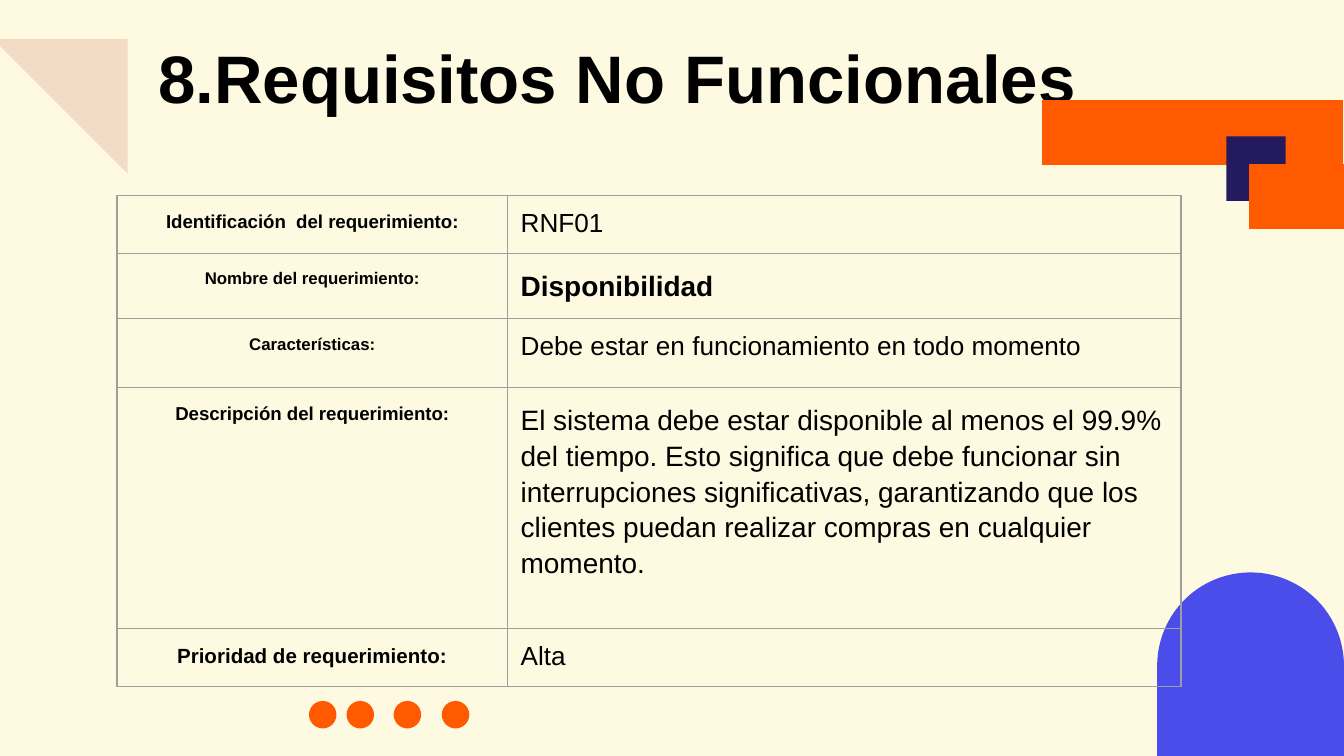
from lxml.etree import SubElement
from pptx import Presentation
from pptx.dml.color import RGBColor
from pptx.enum.shapes import MSO_SHAPE
from pptx.enum.text import PP_ALIGN
from pptx.oxml.ns import qn
from pptx.util import Cm, Pt

COLORS = {
    "background": "FDFAE1",
    "text": "000000",
    "sand": "F3DCC6",
    "blue": "4A4DE9",
    "orange": "FF5A00",
    "navy": "241B5F",
    "border": "9E9E9E",
}
FONT = "Arial"
COLUMN_WIDTHS = [7.38, 12.73]
ROW_HEIGHTS = [1.07, 1.18, 1.3, 4.55, 1.07]
REQUIREMENT = [
    [("Identificación  del requerimiento:", 10, True, 1.15), ("RNF01", 14, False, 1)],
    [("Nombre del requerimiento:", 9, True, 1.15), ("Disponibilidad", 15, True, 1.15)],
    [("Características:", 9, True, 1.15),
     ("Debe estar en funcionamiento en todo momento", 14, False, 1)],
    [("Descripción del requerimiento:", 10, True, 1.15),
     ("El sistema debe estar disponible al menos el 99.9% del tiempo. Esto significa "
      "que debe funcionar sin interrupciones significativas, garantizando que los "
      "clientes puedan realizar compras en cualquier momento.", 15, False, 1.15)],
    [("Prioridad de requerimiento:", 11, True, 1.15), ("Alta", 14, False, 1)],
]


def color(name):
    """Return the named palette colour."""
    return RGBColor.from_string(COLORS[name])


def write(text_frame, text, size, bold):
    """Write one formatted paragraph and return it."""
    text_frame.word_wrap = True
    text_frame.text = text
    paragraph = text_frame.paragraphs[0]
    for run in paragraph.runs:
        run.font.name = FONT
        run.font.size = Pt(size)
        run.font.bold = bold
        run.font.color.rgb = color("text")
    return paragraph


def add_solid(slide, kind, box, fill, rotation=0):
    """Add a plain filled shape in a box given in centimetres."""
    shape = slide.shapes.add_shape(kind, *map(Cm, box))
    shape.shadow.inherit = False
    shape.fill.solid()
    shape.fill.fore_color.rgb = color(fill)
    shape.line.fill.background()
    shape.rotation = rotation


def add_title(slide, box):
    """Place the slide title."""
    text_frame = slide.shapes.add_textbox(*map(Cm, box)).text_frame
    text_frame.margin_top = Cm(0.28)
    write(text_frame, "8.Requisitos No Funcionales", 36, True)


def add_dots(slide, left, top):
    """Place the row of dots under the table."""
    for offset in (0, 0.71, 1.6, 2.51):
        add_solid(slide, MSO_SHAPE.OVAL, (left + offset, top, 0.52, 0.52), "orange")


def add_corner_bars(slide, left, top):
    """Place the overlapping bars at the upper right."""
    process = MSO_SHAPE.FLOWCHART_PROCESS
    add_solid(slide, process, (left, top, 5.69, 1.22), "orange")
    add_solid(slide, MSO_SHAPE.RECTANGLE, (left + 3.48, top + 0.68, 1.12, 1.22), "navy")
    add_solid(slide, process, (left + 3.9, top + 1.21, 5.69, 1.22), "orange")


def add_cell_borders(cell):
    """Draw a thin border on all sides of a cell."""
    properties = cell._tc.get_or_add_tcPr()
    for index, side in enumerate(("a:lnL", "a:lnR", "a:lnT", "a:lnB")):
        line = properties.makeelement(qn(side), {"w": str(Pt(0.75))})
        fill = SubElement(line, qn("a:solidFill"))
        SubElement(fill, qn("a:srgbClr"), val=COLORS["border"])
        properties.insert(index, line)


def add_requirement_table(slide, left, top):
    """Place the table of labels and values."""
    size = Cm(sum(COLUMN_WIDTHS)), Cm(sum(ROW_HEIGHTS))
    frame = slide.shapes.add_table(
        len(ROW_HEIGHTS), len(COLUMN_WIDTHS), Cm(left), Cm(top), *size)
    table = frame.table
    table.first_row = False
    table.horz_banding = False
    for column, width in zip(table.columns, COLUMN_WIDTHS):
        column.width = Cm(width)
    for row, height, contents in zip(table.rows, ROW_HEIGHTS, REQUIREMENT):
        row.height = Cm(height)
        for index, (text, points, bold, spacing) in enumerate(contents):
            cell = row.cells[index]
            cell.margin_left = cell.margin_right = Cm(0.25)
            cell.margin_top = cell.margin_bottom = Cm(0.25)
            cell.fill.background()
            add_cell_borders(cell)
            paragraph = write(cell.text_frame, text, points, bold)
            paragraph.alignment = PP_ALIGN.LEFT if index else PP_ALIGN.CENTER
            paragraph.line_spacing = spacing


def main():
    """Build and save the presentation."""
    presentation = Presentation()
    presentation.slide_width = Cm(25.4)
    presentation.slide_height = Cm(14.29)
    slide = presentation.slides.add_slide(presentation.slide_layouts[6])
    slide.background.fill.solid()
    slide.background.fill.fore_color.rgb = color("background")
    add_title(slide, (2.74, 0.41, 21.39, 2.59))
    add_solid(slide, MSO_SHAPE.RIGHT_TRIANGLE, (-0.13, 0.74, 2.54, 2.54), "sand", 180)
    add_solid(slide, MSO_SHAPE.FLOWCHART_DELAY, (21.87, 10.82, 3.53, 3.53), "blue", 270)
    add_dots(slide, 5.84, 13.25)
    add_corner_bars(slide, 19.7, 1.9)
    add_requirement_table(slide, 2.21, 3.7)
    presentation.save("out.pptx")


if __name__ == "__main__":
    main()
